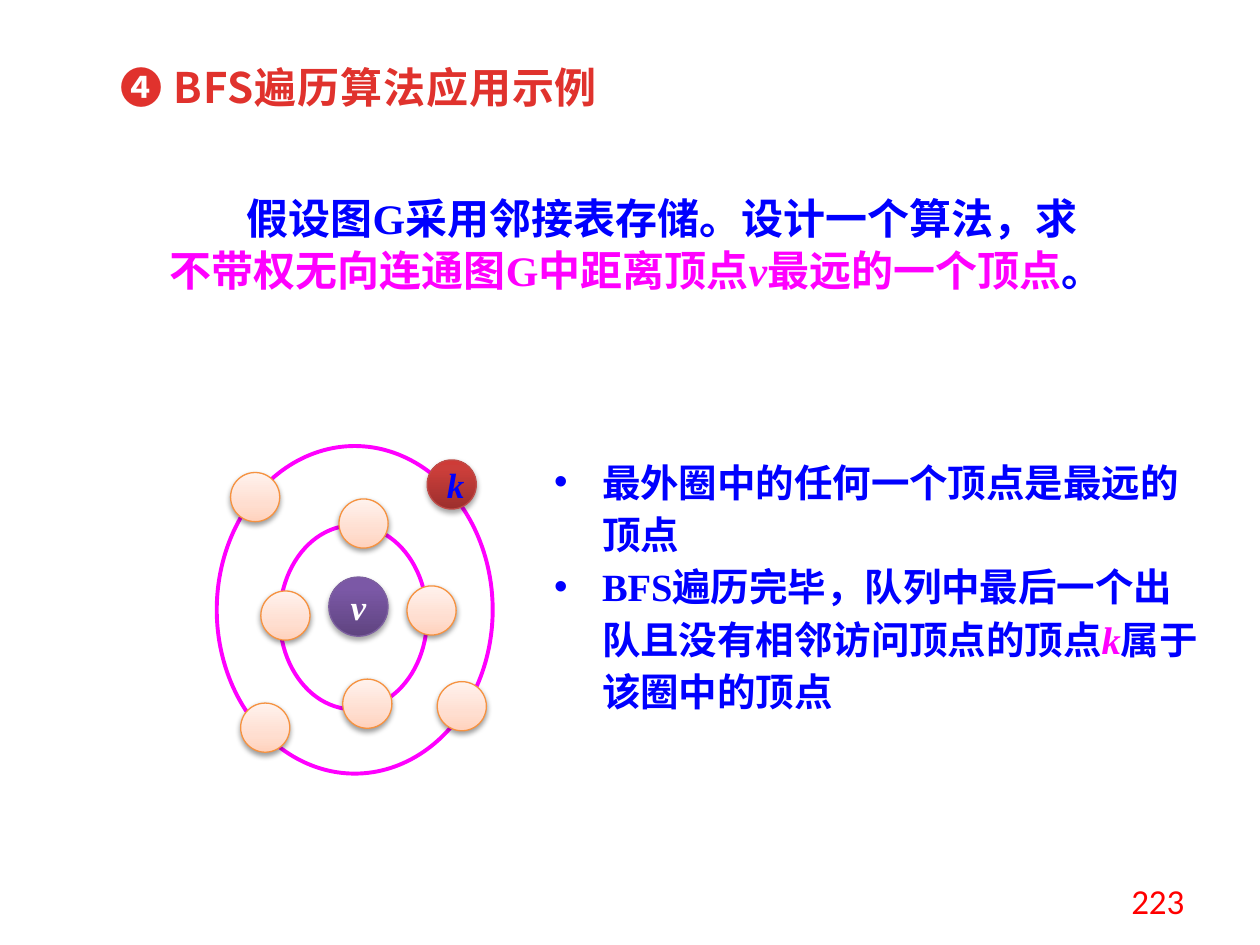
from copy import deepcopy
from pptx import Presentation
from pptx.dml.color import RGBColor
from pptx.enum.shapes import MSO_SHAPE
from pptx.enum.text import MSO_ANCHOR, PP_ALIGN
from pptx.oxml import parse_xml
from pptx.oxml.ns import nsdecls, qn
from pptx.util import Inches, Pt

rgb = RGBColor.from_string
BLUE, PINK = "0000FF", "FF00FF"
SERIF, SANS = "Times New Roman", "Noto Sans CJK SC"
# Gradient stops, line colour, shadow opacity and shadow distance
PEACH = [(0, "FFD2BD"), (0.35, "FFDED0"), (1, "FFF2ED")], "F69240", 38, 1.6
PURPLE = [(0, "5F4480"), (0.8, "7B58A6"), (1, "7C57A8")], "7D60A0", 35, 1.8
RED = [(0, "9C2F2D"), (0.8, "CB3E3A"), (1, "CE3B37")], "BF4C48", 35, 1.8

prs = Presentation()
prs.slide_width, prs.slide_height = Inches(10), Inches(7.5)
slide = prs.slides.add_slide(prs.slide_layouts[6])


def write(par, runs, size, color, face=SERIF, bold=True):
    """Fill a paragraph with (text, colour, italic) runs in one font."""
    font = par.font
    font.size, font.bold, font.name = Pt(size), bold, face
    font.color.rgb = rgb(color)
    font._element.append(parse_xml(f'<a:ea {nsdecls("a")} typeface="{SANS}"/>'))
    for text, tint, slant in runs:
        run = par.add_run()
        run.text = text
        if tint != color:
            run.font.color.rgb = rgb(tint)
        if slant:
            run.font.italic = True


def vertex(group, x, y, size, style, label="", tint=BLUE):
    """Draw a shaded circle with an optional letter."""
    stops, edge, alpha, dist = style
    dot = group.shapes.add_shape(MSO_SHAPE.OVAL, Inches(x), Inches(y),
                                 Inches(size), Inches(size))
    dot.fill.gradient()
    dot.fill.gradient_angle = 90
    props = dot._element.spPr
    items = props.find(".//" + qn("a:gsLst"))
    items.append(deepcopy(items[0]))
    for stop, (pos, color) in zip(dot.fill.gradient_stops, stops):
        stop.position, stop.color.rgb = pos, rgb(color)
    dot.line.color.rgb, dot.line.width = rgb(edge), Pt(0.75)
    props.append(parse_xml(
        f'<a:effectLst {nsdecls("a")}><a:outerShdw blurRad="{Pt(3.1)}" '
        f'dist="{Pt(dist)}" dir="5400000" rotWithShape="0">'
        f'<a:srgbClr val="000000"><a:alpha val="{alpha * 1000}"/></a:srgbClr>'
        '</a:outerShdw></a:effectLst>'))
    if label:
        frame = dot.text_frame
        frame.vertical_anchor = MSO_ANCHOR.MIDDLE
        par = frame.paragraphs[0]
        par.alignment = PP_ALIGN.CENTER
        write(par, [(label, tint, True)], 20, tint)


# Text boxes
frames = []
for x, y, w, h in [(0.86, 0.42, 4.45, 0.52), (1.25, 1.46, 7.5, 1.35),
                   (4.3, 3.54, 5.39, 2.17), (7.17, 6.95, 2.33, 0.4)]:
    box = slide.shapes.add_textbox(Inches(x), Inches(y), Inches(w), Inches(h))
    box.text_frame.word_wrap = True
    frames.append(box.text_frame)
title, task, notes, page = frames

# Title
par = title.paragraphs[0]
par.line_spacing = Pt(30)
write(par, [("❹ BFS遍历算法应用示例", "E0322D", False)], 24, "E0322D", SANS)
par.font._element.set("spc", "50")

# Task, with an indented first line
par = task.paragraphs[0]
par.line_spacing = Pt(30)
par._p.get_or_add_pPr().set("indent", str(Inches(0.61)))
write(par, [("假设图G采用邻接表存储。设计一个算法，求", BLUE, False),
            ("不带权无向连通图G中距离顶点", PINK, False),
            ("v", PINK, True),
            ("最远的一个顶点", PINK, False),
            ("。", BLUE, False)], 24, BLUE)

# Bulleted notes
points = [[("最外圈中的任何一个顶点是最远的顶点", BLUE, False)],
          [("BFS遍历完毕，队列中最后一个出队且没有相邻访问顶点的顶点", BLUE, False),
           ("k", PINK, True),
           ("属于该圈中的顶点", BLUE, False)]]
for i, runs in enumerate(points):
    par = notes.add_paragraph() if i else notes.paragraphs[0]
    par.line_spacing = Pt(30)
    props = par._p.get_or_add_pPr()
    props.set("marL", str(Inches(0.38)))
    props.set("indent", str(Inches(-0.38)))
    props.append(parse_xml(f'<a:buFont {nsdecls("a")} typeface="Arial"/>'))
    props.append(parse_xml(f'<a:buChar {nsdecls("a")} char="•"/>'))
    write(par, runs, 22, BLUE)

# Page number
page.vertical_anchor = MSO_ANCHOR.MIDDLE
par = page.paragraphs[0]
par.alignment = PP_ALIGN.RIGHT
write(par, [("223", "FF0000", False)], 20, "FF0000", "Calibri", False)

# Start vertex, then the inner and outer rings
vertex(slide, 2.61, 4.58, 0.47, PURPLE, "v", "FFFFFF")
rings = [((2.22, 4.17, 1.17, 1.46),
          [(3.23, 4.65), (2.72, 5.39), (2.69, 3.96), (2.07, 4.69)]),
         ((1.72, 3.54, 2.19, 2.6),
          [(1.91, 5.58), (3.47, 5.41), (1.83, 3.75)])]
for area, spots in rings:
    group = slide.shapes.add_group_shape()
    ring = group.shapes.add_shape(MSO_SHAPE.OVAL, *map(Inches, area))
    ring.fill.background()
    ring.line.color.rgb, ring.line.width = rgb(PINK), Pt(2.25)
    ring.shadow.inherit = False
    for x, y in spots:
        vertex(group, x, y, 0.39, PEACH)
vertex(group, 3.39, 3.65, 0.39, RED, "k")

prs.save("out.pptx")
